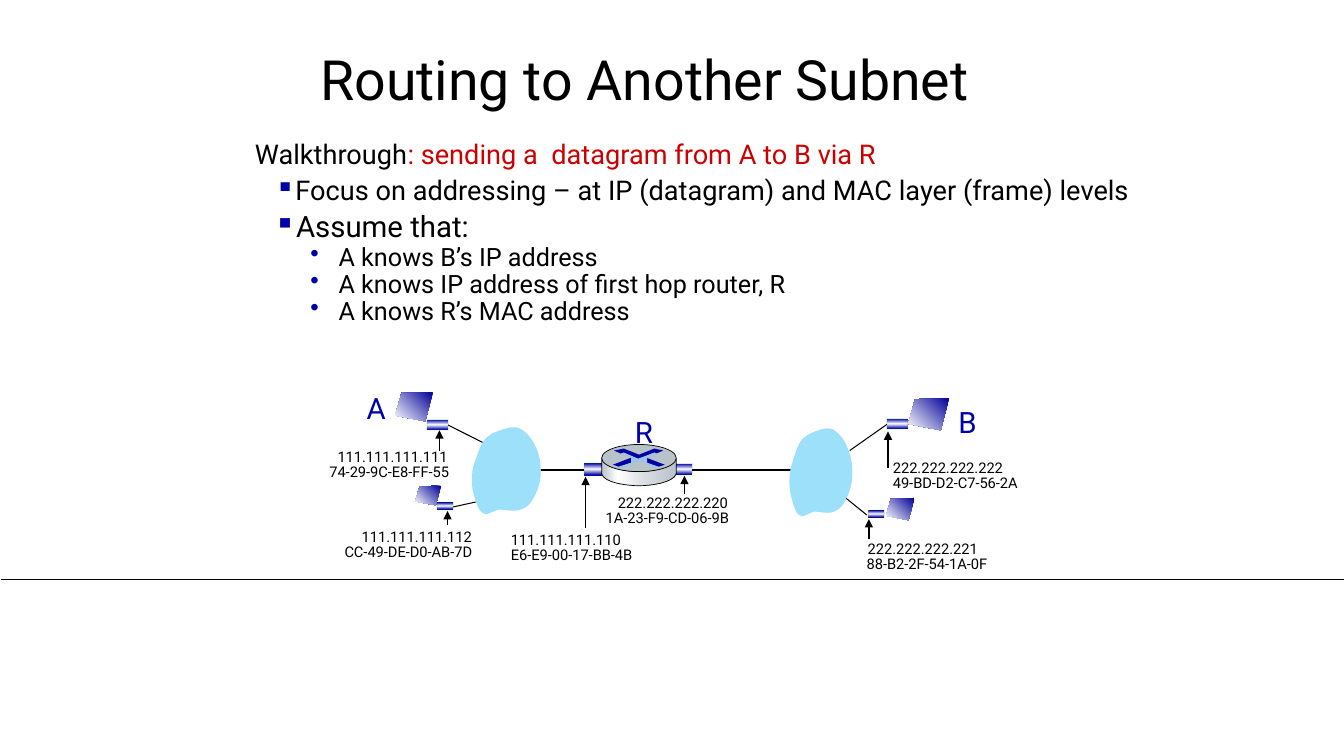
from dataclasses import dataclass
from typing import Any, Optional

from lxml import etree
from pptx import Presentation, util as u
from pptx.dml import color
from pptx.enum import shapes, text
from pptx.oxml import ns

COLORS = {
    "ink": "000000", "accent": "CC0000", "navy": "0000A8", "mark": "0000A3",
    "cloud": "9CE0FA", "steel": "B8C2C9", "silver": "D6DCE0", "white": "FFFFFF",
    "screen": "000099", "cross": "9DC3E6", "edge": "008000",
}
FONT = "Roboto"
CURVE_STEPS = 8

Point = tuple[float, float]
Stops = list[tuple[int, str]]


@dataclass
class Run:
    words: str
    size: float
    color: str = "ink"


@dataclass
class Para:
    runs: list[Run]
    level: int = 0
    left: float = 0
    indent: float = 0
    before: float = 0
    bullet: str = ""
    spacing: Optional[float] = None


@dataclass
class Box:
    left: float
    top: float
    width: float
    height: float


@dataclass
class Address:
    ip: str
    mac: str
    ip_left: float
    mac_left: float
    top: float
    mac_width: float


@dataclass
class Line:
    start: Point
    end: Point
    width: float = 0.75
    arrow: bool = False


CLOUD = [
    [(.3, .09)],
    [(.22, .13), (.17, .16), (.13, .23)], [(.09, .31), (.03, .43), (.01, .51)],
    [(0, .59), (0, .65), (.01, .72)], [(.03, .78), (.06, .88), (.09, .92)],
    [(.12, .97), (.14, .99), (.2, 1)], [(.25, 1), (.3, .97), (.39, .95)],
    [(.48, .95), (.61, .98), (.7, .95)], [(.77, .93), (.83, .9), (.87, .84)],
    [(.93, .77), (.99, .65), (.99, .55)], [(1, .44), (.97, .32), (.91, .23)],
    [(.87, .15), (.77, .06), (.67, .03)], [(.57, 0), (.39, .06), (.3, .09)],
]
ROUTER_BODY = [
    [(1, 0)], [(1, .56)],
    [(.96, .89), (.66, 1), (.5, 1)], [(.34, 1), (.03, .89), (0, .56)],
    [(0, 0)],
    [(.04, .33), (.32, .48), (.49, .48)], [(.66, .48), (.95, .37), (1, 0)],
]
SCREEN = [[(1, 0)], [(.17, .03)], [(0, .8)], [(.8, 1)]]
CHEVRONS = [[p] for p in [(.82, 0), (1, .18), (.86, .45), (.82, .36), (.49, 1), (.2, .36),
                          (.14, .45), (0, .18), (.2, 0), (.51, .55)]]
RIGHT_WING = [[(0, 0)], [(1, .78)], [(.67, 1)], [(0, .56)]]
LEFT_WING = [[(1 - x, y)] for [(x, y)] in RIGHT_WING]
CROSS = [[p] for p in [(.05, .07), (.13, 0), (.49, .4), (.9, 0), (.97, .07), (.72, .33), (.72, .67),
                       (1, .93), (.92, 1), (.51, .53), (.08, 1), (0, .93), (.31, .67), (.31, .33)]]

CLOUDS = [Box(337, 303.8, 49.7, 63.4), Box(563.8, 304.6, 45.4, 64.1)]
SCREENS = [Box(282.2, 280.1, 27, 20.9), Box(296.6, 347, 18.4, 14),
           Box(648.7, 284.4, 29.2, 23), Box(632.9, 355.7, 20.2, 15.9)]
ROUTER_PORTS = [Box(483.1, 327.6, 7.9, 15.1), Box(420.5, 327.6, 8.6, 15.1)]
HOST_PORTS = [Box(308.9, 295.9, 7.2, 15.1), Box(315.4, 355.7, 5, 11.5),
              Box(637.2, 295.2, 7.2, 15.1), Box(623.5, 361.4, 5, 11.5)]
LINKS = [
    Line((0.7, 414), (960, 414), 0.5),
    Line((375.8, 335.5), (566.6, 335.5), 1.25),
    Line((319, 303.1), (344.9, 316.1)), Line((323.3, 362.2), (339.8, 358.6)),
    Line((607, 321.8), (633.6, 303.1)), Line((619.2, 367.9), (604.1, 355.7)),
]
POINTERS = [Line((x, tail), (x, tip), width, True) for x, tail, tip, width in [
    (319.7, 375.1, 365, 0.75), (313.9, 321.8, 307.4, 0.75), (418.3, 377.3, 340.6, 0.75),
    (488.9, 352.8, 339.8, 0.75), (634.3, 334.1, 308.2, 1), (620.6, 385.2, 370.8, 1)]]
ADDRESSES = [
    Address("222.222.222.220", "1A-23-F9-CD-06-9B", 434.2, 425.5, 349.2, 108.7),
    Address("111.111.111.110", "E6-E9-00-17-BB-4B", 357.8, 357.8, 375.8, 106.6),
    Address("111.111.111.112", "CC-49-DE-D0-AB-7D", 251.3, 239, 373.7, 114.5),
    Address("111.111.111.111", "74-29-9C-E8-FF-55", 234, 228.2, 316.1, 105.1),
    Address("222.222.222.222", "49-BD-D2-C7-56-2A", 630.7, 630.7, 324.4, 110.9),
    Address("222.222.222.221", "88-B2-2F-54-1A-0F", 612.7, 612, 382.3, 105.8),
]
NODE_NAMES = [("R", Box(446.4, 292.3, 27.4, 32.4)), ("A", Box(254.9, 275, 28.8, 32.4)),
              ("B", Box(677.5, 285.1, 28.1, 32.4))]

PORT_STOPS = [(0, "navy"), (50, "white"), (99, "navy")]
SCREEN_STOPS = [(0, "screen"), (100, "white")]
BODY_STOPS = [(0, "steel"), (21, "white"), (60, "silver"), (100, "steel")]


def rgb(name: str) -> color.RGBColor:
    return color.RGBColor.from_string(COLORS[name])


def sub(parent: Any, tag: str, **attrs: str) -> Any:
    return etree.SubElement(parent, ns.qn(tag), **attrs)


def add_text(slide: Any, box: Box, paras: list[Para], wrap: bool = False,
             inset: Point = (7.2, 3.6), title: bool = False) -> None:
    frame = slide.shapes.add_textbox(u.Pt(box.left), u.Pt(box.top), u.Pt(box.width), u.Pt(box.height)).text_frame
    frame.word_wrap = wrap
    frame.auto_size = text.MSO_AUTO_SIZE.NONE if wrap else text.MSO_AUTO_SIZE.SHAPE_TO_FIT_TEXT
    frame.margin_left = frame.margin_right = u.Pt(inset[0])
    frame.margin_top = frame.margin_bottom = u.Pt(inset[1])
    if title:
        frame.vertical_anchor = text.MSO_ANCHOR.MIDDLE
    for i, para in enumerate(paras):
        line = frame.add_paragraph() if i else frame.paragraphs[0]
        line.level = para.level
        line.alignment = text.PP_ALIGN.CENTER if title else text.PP_ALIGN.LEFT
        line.line_spacing = para.spacing
        line.space_before = u.Pt(para.before)
        props = line._p.get_or_add_pPr()
        props.set("marL", str(u.Pt(para.left)))
        props.set("indent", str(u.Pt(para.indent)))
        if para.bullet:
            sub(sub(props, "a:buClr"), "a:srgbClr", val=COLORS["navy"])
            sub(props, "a:buChar", char=para.bullet)
        for part in para.runs:
            run = line.add_run()
            run.text = part.words
            run.font.name, run.font.size = FONT, u.Pt(part.size)
            run.font.color.rgb = rgb(part.color)


def add_line(slide: Any, line: Line) -> None:
    ends = [u.Pt(v) for v in (*line.start, *line.end)]
    link = slide.shapes.add_connector(shapes.MSO_CONNECTOR.STRAIGHT, *ends)
    link.line.color.rgb, link.line.width = rgb("ink"), u.Pt(line.width)
    if line.arrow:
        sub(link.line._get_or_add_ln(), "a:tailEnd", type="triangle")
    sub(link._element.spPr, "a:effectLst")


def paint(shape: Any, fill: str | Stops, angle: int = 0, edge: str = "", width: float = 0.5) -> None:
    shape.shadow.inherit = False
    if isinstance(fill, str):
        shape.fill.solid()
        shape.fill.fore_color.rgb = rgb(fill)
    else:
        shape.fill.gradient()
        gradient = shape._element.spPr.find(ns.qn("a:gradFill"))
        for child in list(gradient):
            gradient.remove(child)
        stops = sub(gradient, "a:gsLst")
        for position, name in fill:
            sub(sub(stops, "a:gs", pos=str(position * 1000)), "a:srgbClr", val=COLORS[name])
        sub(gradient, "a:lin", ang=str(angle * 60000), scaled="0")
    if edge:
        shape.line.color.rgb, shape.line.width = rgb(edge), u.Pt(width)
    else:
        shape.line.fill.background()


def add_outline(slide: Any, box: Box, segments: list[list[Point]]) -> Any:
    trace = [segments[0][0]]
    for segment in segments[1:]:
        if len(segment) == 1:
            trace.append(segment[0])
            continue
        corners = [trace[-1], *segment]
        for step in range(1, CURVE_STEPS + 1):
            t = step / CURVE_STEPS
            weights = ((1 - t) ** 3, 3 * t * (1 - t) ** 2, 3 * t * t * (1 - t), t ** 3)
            trace.append(tuple(sum(w * c[axis] for w, c in zip(weights, corners)) for axis in (0, 1)))
    spots = [(u.Pt(box.left + x * box.width), u.Pt(box.top + y * box.height)) for x, y in trace]
    builder = slide.shapes.build_freeform(*spots[0])
    builder.add_line_segments(spots[1:], close=True)
    return builder.convert_to_shape()


def add_preset(slide: Any, kind: Any, box: Box) -> Any:
    return slide.shapes.add_shape(kind, u.Pt(box.left), u.Pt(box.top), u.Pt(box.width), u.Pt(box.height))


def add_port(slide: Any, box: Box) -> None:
    port = add_preset(slide, shapes.MSO_SHAPE.RECTANGLE, box)
    port.rotation = 90
    paint(port, PORT_STOPS, 0, "edge", 0.75)
    for tint in port.line._get_or_add_ln().iter(ns.qn("a:srgbClr")):
        sub(tint, "a:alpha", val="15000")


def add_router(slide: Any) -> None:
    paint(add_outline(slide, Box(429.8, 327.6, 53.3, 19.4), ROUTER_BODY), BODY_STOPS, 0, "ink")
    paint(add_preset(slide, shapes.MSO_SHAPE.OVAL, Box(429.8, 317.5, 53.3, 19.4)), "steel", 0, "ink")
    for box, outline, fill in [
        (Box(438.5, 320.4, 35.3, 7.9), CHEVRONS, "mark"), (Box(461.5, 326.9, 13.3, 6.5), RIGHT_WING, "mark"),
        (Box(437.8, 326.9, 13, 6.5), LEFT_WING, "navy"), (Box(442.1, 323.3, 28.1, 10.8), CROSS, "cross"),
    ]:
        paint(add_outline(slide, box, outline), fill)


def main() -> None:
    deck = Presentation()
    deck.slide_width, deck.slide_height = u.Pt(960), u.Pt(540)
    slide = deck.slides.add_slide(deck.slide_layouts[6])
    add_text(slide, Box(105.1, 32.4, 710.6, 52.6),
             [Para([Run("Routing to Another Subnet", 39.6)], spacing=0.9)], wrap=True, title=True)
    add_text(slide, Box(177.1, 97.9, 639.4, 70.6), [
        Para([Run("Walkthrough", 19.4), Run(": sending a  datagram from A to B via R", 19.4, "accent")],
             left=6.5, indent=-6.5, spacing=0.9),
        Para([Run("Focus on addressing – at IP (datagram) and MAC layer (frame) levels", 19.4)],
             1, 27.4, -13, 5, "▪", 0.9)], wrap=True, inset=(5, 2.9))
    for line in LINKS:
        add_line(slide, line)
    for name, box in NODE_NAMES:
        add_text(slide, box, [Para([Run(name, 21, "navy")])])
    for box in CLOUDS:
        paint(add_outline(slide, box, CLOUD), "cloud")
    for box in ROUTER_PORTS:
        add_port(slide, box)
    add_router(slide)
    for port, screen in zip(HOST_PORTS, SCREENS):
        add_port(slide, port)
        paint(add_outline(slide, screen, SCREEN), SCREEN_STOPS, 135)
    for address in ADDRESSES:
        add_text(slide, Box(address.ip_left, address.top, 94.3, 20.2), [Para([Run(address.ip, 10.5)])])
        add_text(slide, Box(address.mac_left, address.top + 10.8, address.mac_width, 20.2),
                 [Para([Run(address.mac, 10.5)])])
    for pointer in POINTERS:
        add_line(slide, pointer)
    facts = ["A knows B’s IP address", "A knows IP address of first hop router, R", "A knows R’s MAC address"]
    add_text(slide, Box(176.4, 149, 601.9, 93.6),
             [Para([Run("Assume that:", 21)], 1, 27.4, -13, 0, "▪", 0.9)]
             + [Para([Run(fact, 18)], 2, 60.5, -20.2, 0, "•", 0.9) for fact in facts],
             wrap=True, inset=(5, 2.9))
    deck.save("out.pptx")


if __name__ == "__main__":
    main()
